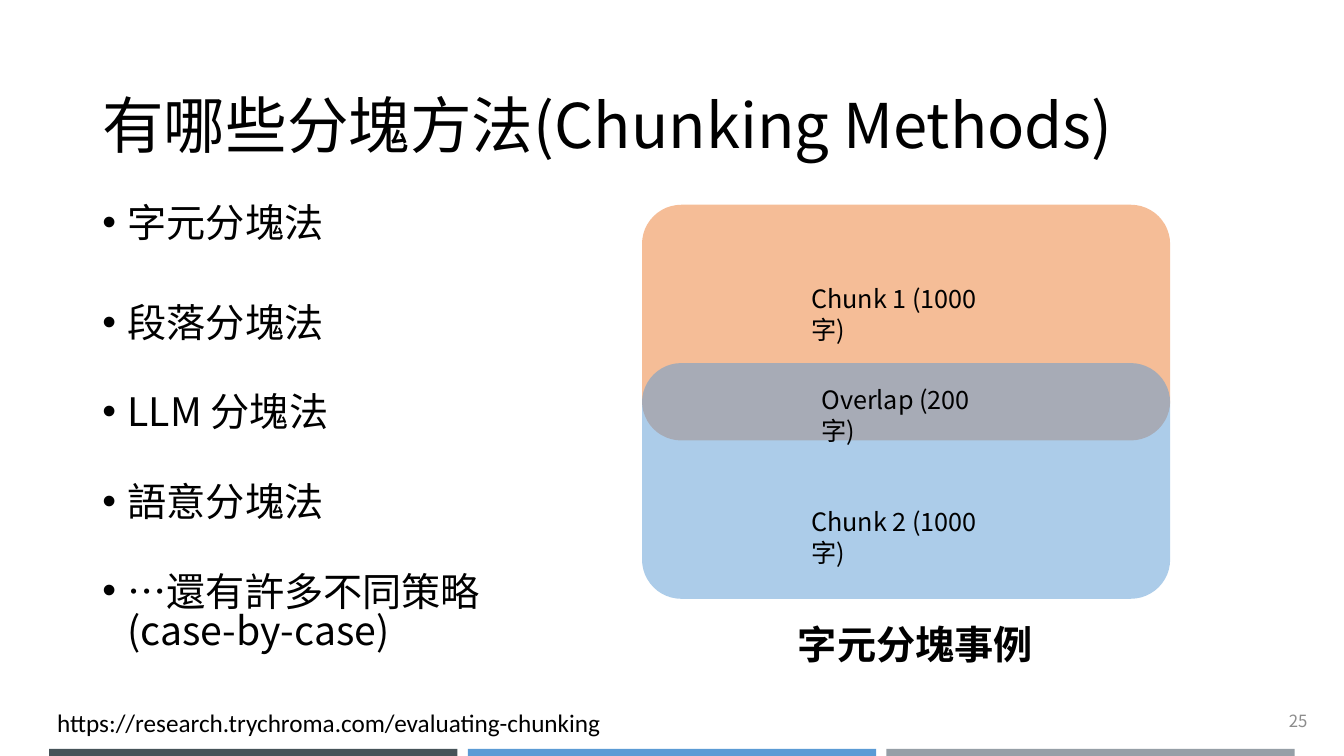
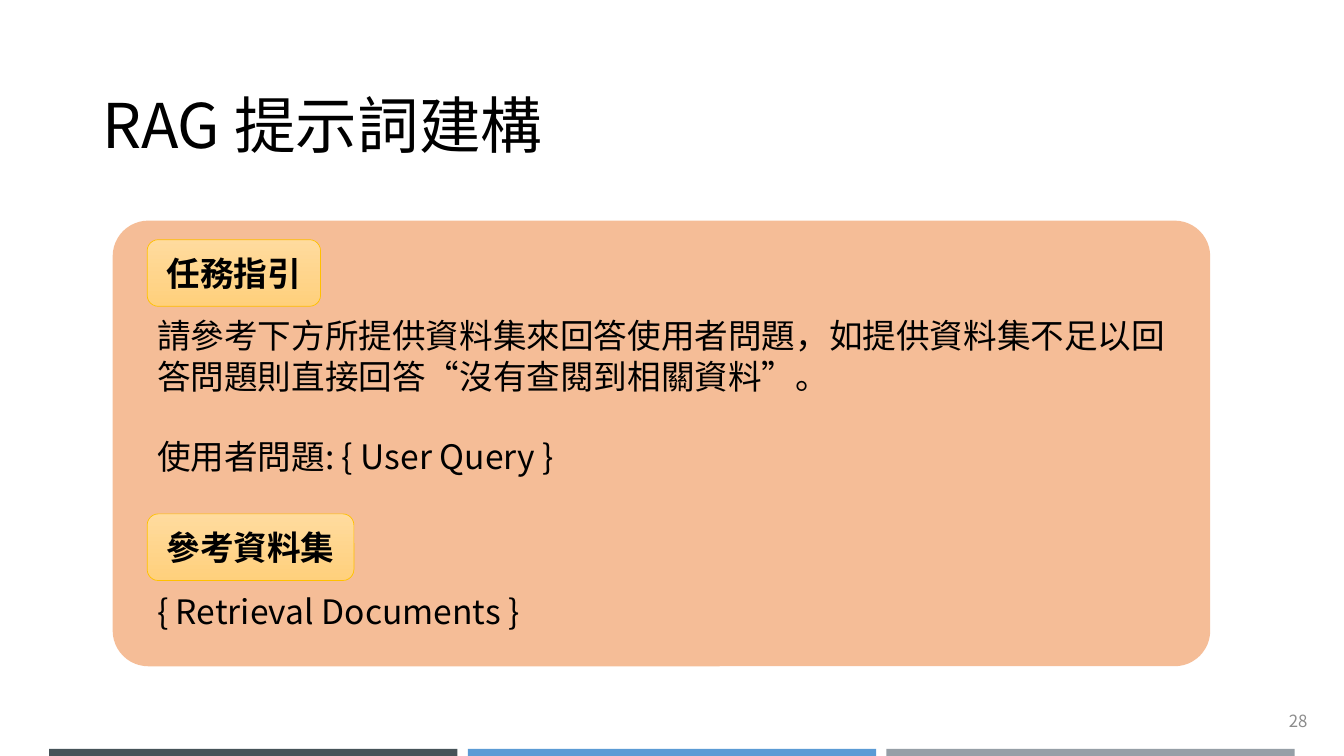
import collections

import lxml.etree
import pptx
import pptx.dml.color
import pptx.enum.shapes
import pptx.enum.text
import pptx.oxml.ns
import pptx.util

Cm = pptx.util.Cm
Pt = pptx.util.Pt
RGBColor = pptx.dml.color.RGBColor
ShapeKind = pptx.enum.shapes.MSO_SHAPE
Align = pptx.enum.text.PP_ALIGN
Anchor = pptx.enum.text.MSO_ANCHOR
qn = pptx.oxml.ns.qn

BLACK = RGBColor(0x00, 0x00, 0x00)
GREY = RGBColor(0x8C, 0x8C, 0x8C)
ORANGE = RGBColor(0xED, 0x7D, 0x31)
BLUE = RGBColor(0x5B, 0x9B, 0xD5)
SLATE = RGBColor(0x46, 0x53, 0x59)
SILVER = RGBColor(0x96, 0x9F, 0xA7)
GOLD = RGBColor(0xFF, 0xC0, 0x00)
TAG_TOP = RGBColor(0xFF, 0xDB, 0x9E)
TAG_BOTTOM = RGBColor(0xFF, 0xD0, 0x7C)

NOTO = "Noto Sans CJK SC"
LINE_HEIGHT = 1.22

TITLE = {"name": NOTO, "size": Pt(44)}
BULLET = {"name": NOTO, "size": Pt(28)}
CAPTION = {"name": NOTO, "size": Pt(28), "bold": True}
PROMPT = {"name": NOTO, "size": Pt(24)}
TAG = {"name": NOTO, "size": Pt(24), "bold": True}
LABEL = {"name": NOTO, "size": Pt(18)}
SOURCE = {"name": "Calibri", "size": Pt(18)}
PAGE_NUMBER = {"name": NOTO, "size": Pt(12)}

# All box values are centimetres.
Box = collections.namedtuple("Box", "left top width height")


def inner(box, left, top, width, height):
    """Box given relative to the corner of another box."""
    return Box(box.left + left, box.top + top, width, height)


def lengths(box):
    return [Cm(value) for value in box]


def write(frame, paragraphs, style, color=BLACK, align=Align.LEFT,
          tightness=1, gaps=(), bullet=False):
    """Fill a text frame; gaps holds the points before each paragraph."""
    for index, text in enumerate(paragraphs):
        paragraph = frame.paragraphs[0] if index == 0 else frame.add_paragraph()
        if bullet:
            properties = paragraph._p.get_or_add_pPr()
            properties.set("marL", str(Cm(0.64)))
            properties.set("indent", str(-Cm(0.64)))
            lxml.etree.SubElement(properties, qn("a:buFont"), typeface="Arial")
            lxml.etree.SubElement(properties, qn("a:buChar"), char="•")
        paragraph.alignment = align
        paragraph.line_spacing = Pt(style["size"].pt * LINE_HEIGHT * tightness)
        if index and gaps:
            paragraph.space_before = Pt(gaps[index])
        run = paragraph.add_run()
        run.text = text
        for attribute, value in style.items():
            setattr(run.font, attribute, value)
        run.font.color.rgb = color
        lxml.etree.SubElement(run._r.get_or_add_rPr(), qn("a:ea"),
                              typeface=style["name"])


def add_text(slide, box, paragraphs, style, anchor=Anchor.TOP, wrap=True,
             **layout):
    frame = slide.shapes.add_textbox(*lengths(box)).text_frame
    frame.word_wrap = wrap
    frame.vertical_anchor = anchor
    write(frame, paragraphs, style, **layout)


def add_block(slide, kind, box, color, opacity=None, corner=None):
    """Borderless filled shape; opacity is a percentage."""
    block = slide.shapes.add_shape(kind, *lengths(box))
    block.shadow.inherit = False
    block.fill.solid()
    block.fill.fore_color.rgb = color
    block.line.fill.background()
    if corner is not None:
        block.adjustments[0] = corner
    if opacity is not None:
        tint = block._element.spPr.find(".//" + qn("a:srgbClr"))
        lxml.etree.SubElement(tint, qn("a:alpha"), val=str(opacity * 1000))


def add_tag(slide, box, text):
    tag = slide.shapes.add_shape(ShapeKind.ROUNDED_RECTANGLE, *lengths(box))
    tag.shadow.inherit = False
    tag.fill.gradient()
    tag.fill.gradient_angle = 270
    for stop, position, color in zip(tag.fill.gradient_stops, (0, 1),
                                     (TAG_TOP, TAG_BOTTOM)):
        stop.position = position
        stop.color.rgb = color
    tag.line.color.rgb = GOLD
    tag.line.width = Pt(0.5)
    tag.text_frame.vertical_anchor = Anchor.MIDDLE
    tag.text_frame.word_wrap = False
    write(tag.text_frame, [text], TAG, align=Align.CENTER)


def start_slide(deck, title, number):
    """Blank slide with the shared bands, title and page number."""
    slide = deck.slides.add_slide(deck.slide_layouts[6])
    for index, color in enumerate((SLATE, BLUE, SILVER)):
        band = Box(1.24 + 10.55 * index, 18.87, 10.29, 0.26)
        add_block(slide, ShapeKind.RECTANGLE, band, color)
    add_text(slide, Box(2.33, 1.7, 29.21, 3), [title], TITLE,
             anchor=Anchor.MIDDLE, tightness=0.9)
    add_text(slide, Box(25.58, 17.65, 7.62, 1.01), [number], PAGE_NUMBER,
             anchor=Anchor.MIDDLE, color=GREY, align=Align.RIGHT)
    return slide


def add_overlap_diagram(slide, box):
    chunk_height = 5.94
    chunk_tops = (0, box.height - chunk_height)
    for top, color in zip(chunk_tops, (ORANGE, BLUE)):
        add_block(slide, ShapeKind.ROUNDED_RECTANGLE,
                  inner(box, 0, top, box.width, chunk_height), color, opacity=50)
    labels = (
        ("Chunk 1 (1000 字)", 4.01, 1.85, 5.1),
        ("Chunk 2 (1000 字)", 4.01, 7.47, 5.1),
        ("Overlap (200 字)", 4.27, 4.39, 4.7),
    )
    for text, left, top, width in labels:
        add_text(slide, inner(box, left, top, width, 1.02), [text], LABEL)
    add_text(slide, inner(box, 3.68, box.height + 0.39, 6.5, 1.45),
             ["字元分塊事例"], CAPTION, wrap=False)


def add_prompt_panel(slide, box):
    add_block(slide, ShapeKind.ROUNDED_RECTANGLE, box, ORANGE, opacity=50,
              corner=0.08)
    margin = 0.87
    instructions = [
        "請參考下方所提供資料集來回答使用者問題，如提供資料集不足以回答問題則直接回答“沒有查閱到相關資料”。",
        "使用者問題: { User Query }",
    ]
    add_text(slide, inner(box, margin, 2.24, 26.47, 4.37), instructions, PROMPT,
             gaps=(0, 28))
    for text, top, width in (("任務指引", 0.48, 4.37), ("參考資料集", 7.39, 5.21)):
        add_tag(slide, inner(box, margin, top, width, 1.68), text)
    add_text(slide, inner(box, margin, 9.2, 9.78, 1.27),
             ["{ Retrieval Documents }"], PROMPT, wrap=False)


def build_methods_slide(deck):
    slide = start_slide(deck, "有哪些分塊方法(Chunking Methods)", "25")
    methods = ["字元分塊法", "段落分塊法", "LLM 分塊法", "語意分塊法",
               "…還有許多不同策略(case-by-case)"]
    add_text(slide, Box(2.33, 5.08, 11.96, 12.1), methods, BULLET,
             tightness=0.82, gaps=(0, 43, 36, 36, 36), bullet=True)
    add_overlap_diagram(slide, Box(16.18, 5.16, 13.31, 9.93))
    add_text(slide, Box(1.19, 17.68, 14.38, 1.02),
             ["https://research.trychroma.com/evaluating-chunking"], SOURCE,
             wrap=False)


def build_prompt_slide(deck):
    slide = start_slide(deck, "RAG 提示詞建構", "28")
    add_prompt_panel(slide, Box(2.84, 5.56, 27.66, 11.23))


def main():
    deck = pptx.Presentation()
    deck.slide_width = Cm(33.87)
    deck.slide_height = Cm(19.05)
    build_methods_slide(deck)
    build_prompt_slide(deck)
    deck.save("out.pptx")


if __name__ == "__main__":
    main()
